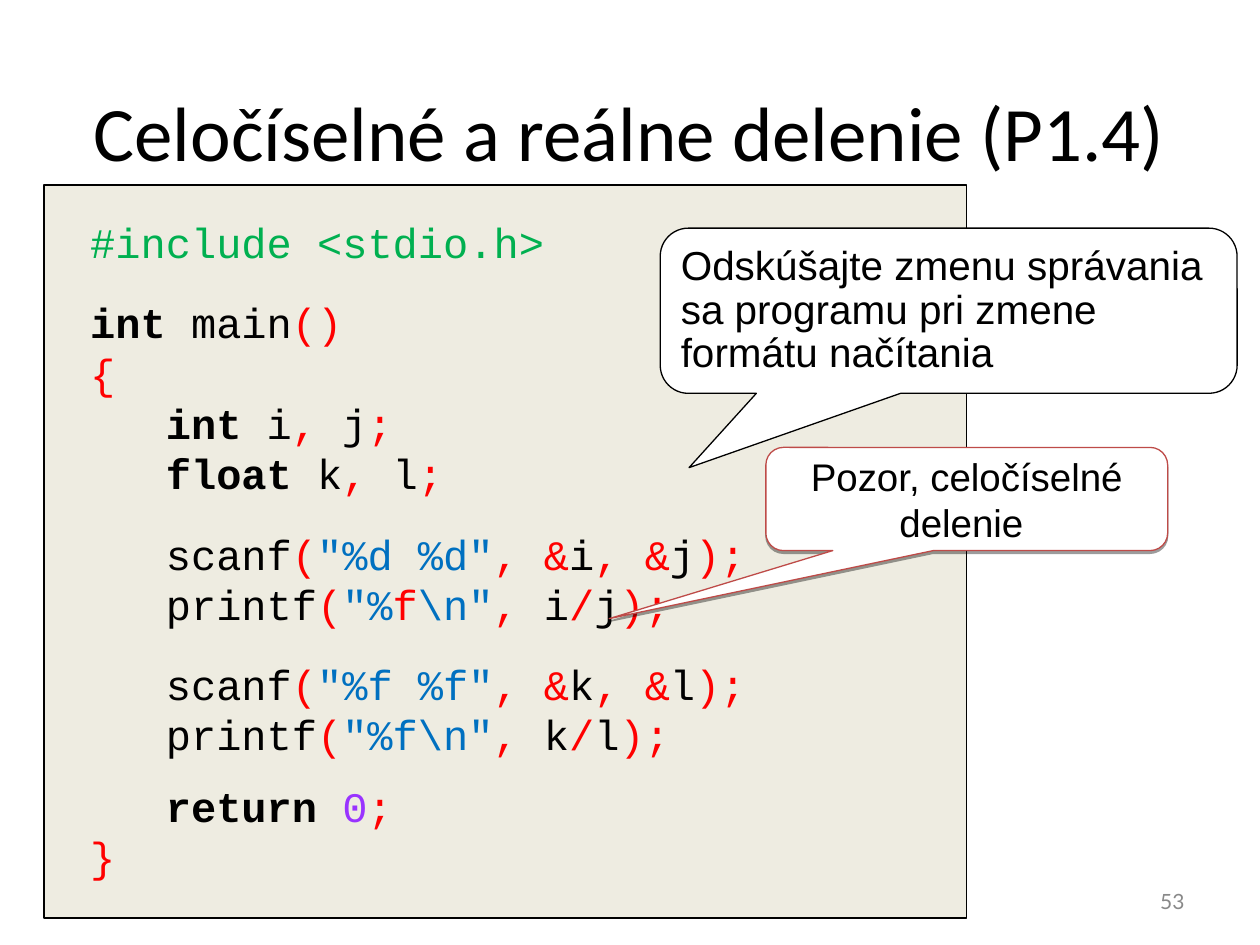
import dataclasses

import pptx
import pptx.dml.color
import pptx.enum.shapes
import pptx.enum.text
import pptx.oxml
import pptx.oxml.ns
import pptx.util

Cm = pptx.util.Cm
Pt = pptx.util.Pt
ALIGN = pptx.enum.text.PP_ALIGN
SHAPE = pptx.enum.shapes.MSO_SHAPE


@dataclasses.dataclass(frozen=True)
class Theme:
    black: str = "000000"
    white: str = "FFFFFF"
    panel: str = "EEECE1"
    warning: str = "BE4B48"
    muted: str = "898989"
    include: str = "00B050"
    symbol: str = "FF0000"
    string: str = "0070C0"
    number: str = "9933FF"
    title_font: str = "Calibri"
    code_font: str = "Courier New"
    note_font: str = "Arial"
    number_font: str = "Lato"
    title_size: float = 44
    code_size: float = 24
    tip_size: float = 23.1
    warning_size: float = 22
    number_size: float = 12
    leading: float = 1.2


THEME = Theme()

# Code styles: colour and weight
PLAIN = (THEME.black, False)
KEYWORD = (THEME.black, True)
INCLUDE = (THEME.include, False)
SYMBOL = (THEME.symbol, False)
STRING = (THEME.string, False)
NUMBER = (THEME.number, False)


def declaration(kind, first, second):
    return [("   ", PLAIN), (kind, KEYWORD), (" " + first, PLAIN), (",", SYMBOL),
            (" " + second, PLAIN), (";", SYMBOL)]


def scan_line(pattern, first, second):
    return [("   scanf", PLAIN), ("(", SYMBOL), (pattern, STRING), (", &", SYMBOL),
            (first, PLAIN), (", &", SYMBOL), (second, PLAIN), (");", SYMBOL)]


def print_line(pattern, first, second):
    return [("   printf", PLAIN), ("(", SYMBOL), *pattern, (", ", SYMBOL),
            (first, PLAIN), ("/", SYMBOL), (second, PLAIN), (");", SYMBOL)]


# Each code line: space before in points, then its spans
CODE = [
    (0, [("#include <stdio.h>", INCLUDE)]),
    (17, [("int", KEYWORD), (" main", PLAIN), ("()", SYMBOL)]),
    (0, [("{", SYMBOL)]),
    (0, declaration("int", "i", "j")),
    (0, declaration("float", "k", "l")),
    (17, scan_line('"%d %d"', "i", "j")),
    (0, print_line([('"%', STRING), ("f", SYMBOL), ('\\n"', STRING)], "i", "j")),
    (17, scan_line('"%f %f"', "k", "l")),
    (0, print_line([('"%f\\n"', STRING)], "k", "l")),
    (12, [("   ", PLAIN), ("return ", KEYWORD), ("0", NUMBER), (";", SYMBOL)]),
    (0, [("}", SYMBOL)]),
]


def rgb(colour):
    return pptx.dml.color.RGBColor.from_string(colour)


def add_span(para, text, font, size, colour, bold=False):
    span = para.add_run()
    span.text = text
    span.font.name = font
    span.font.size = Pt(size)
    span.font.bold = bold
    span.font.color.rgb = rgb(colour)


def set_frame(shape, inset=0.25, middle=True):
    frame = shape.text_frame
    frame.word_wrap = True
    frame.margin_left = frame.margin_right = Cm(inset)
    frame.margin_top = frame.margin_bottom = Cm(inset / 2)
    anchor = pptx.enum.text.MSO_ANCHOR
    frame.vertical_anchor = anchor.MIDDLE if middle else anchor.TOP
    return frame


def add_label(page, place, text, font, size, colour, align, inset=0.25):
    box = page.shapes.add_textbox(*map(Cm, place))
    para = set_frame(box, inset).paragraphs[0]
    para.alignment = align
    add_span(para, text, font, size, colour)


def add_outlined(page, kind, place, fill, line):
    shape = page.shapes.add_shape(kind, *map(Cm, place))
    shape.shadow.inherit = False
    shape.fill.solid()
    shape.fill.fore_color.rgb = rgb(fill)
    shape.line.color.rgb = rgb(line)
    shape.line.width = Pt(0.75)
    return shape


def add_code(page, place):
    box = page.shapes.add_textbox(*map(Cm, place))
    frame = set_frame(box, middle=False)
    for index, (gap, spans) in enumerate(CODE):
        para = frame.add_paragraph() if index else frame.paragraphs[0]
        para.line_spacing = Pt(THEME.code_size * THEME.leading)
        if gap:
            para.space_before = Pt(gap)
        for text, (colour, bold) in spans:
            add_span(para, text, THEME.code_font, THEME.code_size, colour, bold)


def add_callout(page, place, tip, text, size, line, align, spacing=1.0):
    shape = add_outlined(page, SHAPE.ROUNDED_RECTANGULAR_CALLOUT, place, THEME.white, line)
    for index, value in enumerate((*tip, 0.17)):
        shape.adjustments[index] = value
    para = set_frame(shape).paragraphs[0]
    para.alignment = align
    para.line_spacing = Pt(round(size * THEME.leading * spacing, 1))
    add_span(para, text, THEME.note_font, size, THEME.black)
    return shape


def add_shadow(shape):
    effects = shape._element.spPr.find(pptx.oxml.ns.qn("a:effectLst"))
    effects.append(pptx.oxml.parse_xml(
        f'<a:outerShdw {pptx.oxml.ns.nsdecls("a")} blurRad="0" dist="{Pt(1.6)}" '
        f'dir="5400000" rotWithShape="0"><a:srgbClr val="{THEME.black}">'
        '<a:alpha val="38000"/></a:srgbClr></a:outerShdw>'))


def main():
    deck = pptx.Presentation()
    deck.slide_width, deck.slide_height = Cm(25.4), Cm(19.05)
    page = deck.slides.add_slide(deck.slide_layouts[6])

    # Title
    add_label(page, (1.27, 1.96, 22.86, 1.37), "Celočíselné a reálne delenie (P1.4)",
              THEME.title_font, THEME.title_size, THEME.black, ALIGN.CENTER, inset=0)

    # Code panel
    add_outlined(page, SHAPE.RECTANGLE, (0.89, 3.73, 18.59, 14.78),
                 THEME.panel, THEME.black)
    add_code(page, (1.57, 4.24, 18.62, 13.64))

    # Callouts
    add_callout(page, (13.31, 4.6, 11.63, 3.33), (-0.45, 0.95),
                "Odskúšajte zmenu správania sa programu pri zmene formátu načítania",
                THEME.tip_size, THEME.black, ALIGN.LEFT, spacing=0.9)
    warning = add_callout(page, (15.44, 9.02, 8.1, 2.08), (-0.89, 1.16),
                          "Pozor, celočíselné delenie ",
                          THEME.warning_size, THEME.warning, ALIGN.CENTER)
    add_shadow(warning)

    # Page number
    add_label(page, (18.21, 17.65, 5.92, 1.02), "53", THEME.number_font,
              THEME.number_size, THEME.muted, ALIGN.RIGHT)

    deck.save("out.pptx")


if __name__ == "__main__":
    main()
